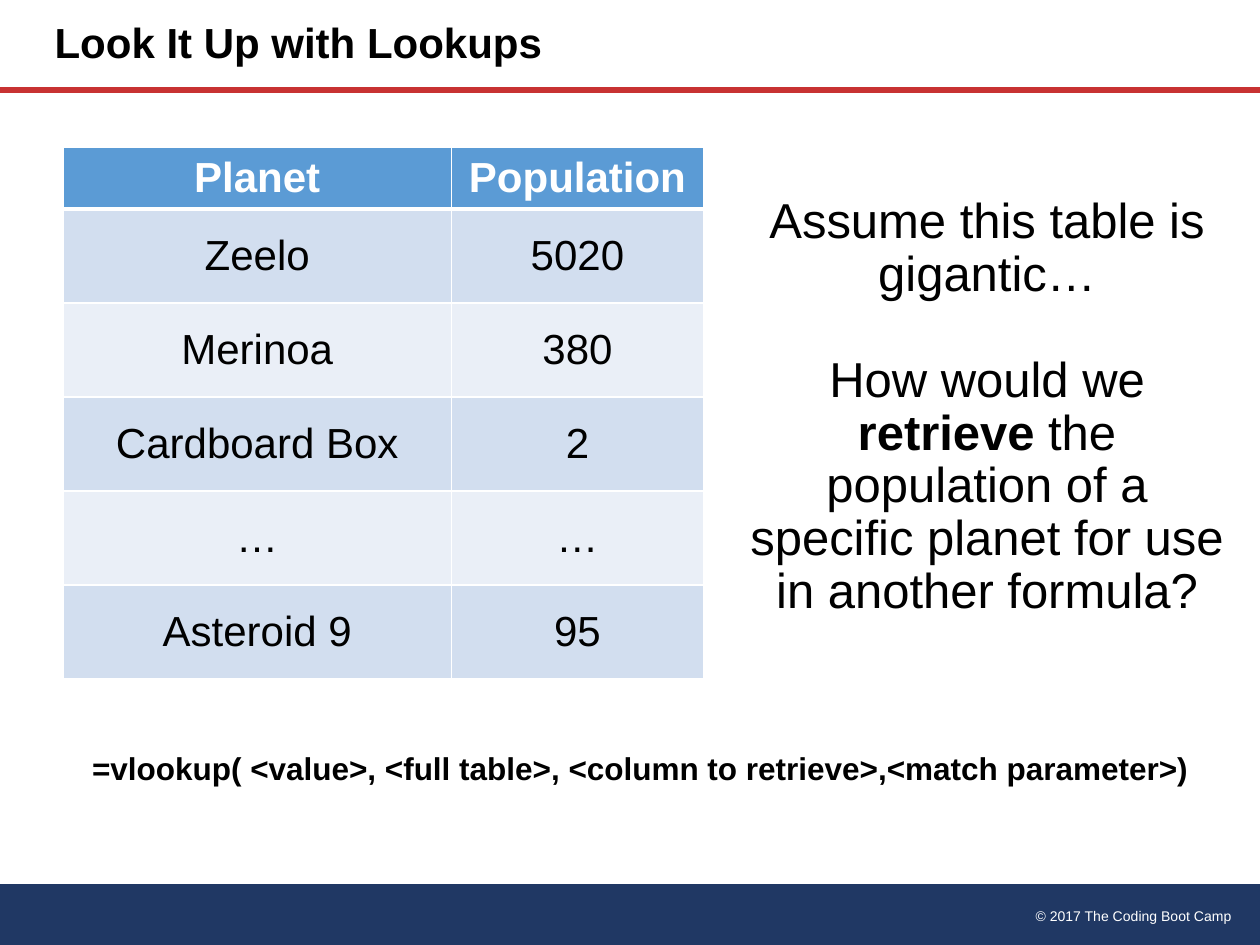
from lxml import etree
from pptx import Presentation
from pptx.dml.color import RGBColor
from pptx.enum.shapes import MSO_CONNECTOR as Connector, MSO_SHAPE as Shape
from pptx.enum.text import MSO_ANCHOR as Anchor, MSO_AUTO_SIZE as AutoSize, PP_ALIGN as Align
from pptx.oxml.ns import qn
from pptx.util import Inches, Pt

COLUMN = Inches(10) / 120
ROW = Inches(7.5) / 90
COLORS = {
    "black": "000000", "white": "FFFFFF", "navy": "203864", "red": "C83232",
    "header": "5B9BD5", "odd": "D2DEEF", "even": "EAEFF7",
}
PLANETS = [
    ("Planet", "Population"), ("Zeelo", "5020"), ("Merinoa", "380"),
    ("Cardboard Box", "2"), ("…", "…"), ("Asteroid 9", "95"),
]
QUESTION = [
    [("Assume this table is gigantic…", False)],
    [("How would we ", False), ("retrieve", True),
     (" the population of a specific planet for use in another formula?", False)],
]
FORMULA = "=vlookup( <value>, <full table>, <column to retrieve>,<match parameter>)"


def color(name):
    return RGBColor.from_string(COLORS[name])


def place(box):
    left, top, width, height = box
    return [round(left * COLUMN), round(top * ROW), round(width * COLUMN), round(height * ROW)]


def apply(target, formats):
    for name, value in formats.items():
        setattr(target, name, value)


def write(frame, paragraphs, size, ink="black", align=Align.CENTER, spacing=0.9, gap=0):
    apply(frame, {"word_wrap": True, "auto_size": AutoSize.NONE, "vertical_anchor": Anchor.MIDDLE})
    for index, runs in enumerate(paragraphs):
        paragraph = frame.add_paragraph() if index else frame.paragraphs[0]
        apply(paragraph, {"alignment": align, "line_spacing": spacing,
                          "space_before": Pt(gap if index else 0)})
        for text, bold in runs:
            run = paragraph.add_run()
            run.text = text
            apply(run.font, {"name": "Arial", "size": Pt(size), "bold": bold})
            run.font.color.rgb = color(ink)


def add_text(slide, box, paragraphs, size, **formats):
    write(slide.shapes.add_textbox(*place(box)).text_frame, paragraphs, size, **formats)


def add_header(slide, box):
    left, top, width, height = box
    title = slide.shapes.title
    apply(title, dict(zip(("left", "top", "width", "height"),
                          place((left + 4, top, width * 0.6, height)))))
    write(title.text_frame, [[("Look It Up with Lookups", True)]], 24, align=Align.LEFT)
    x, y, length, drop = place(box)
    rule = slide.shapes.add_connector(Connector.STRAIGHT, x, y + drop, x + length, y + drop)
    rule.line.color.rgb = color("red")
    rule.line.width = Pt(3.25)
    etree.SubElement(rule._element.spPr, qn("a:effectLst"))


def add_footer(slide, box):
    left, top, width, height = box
    bar = slide.shapes.add_shape(Shape.FLOWCHART_PROCESS, *place(box))
    bar.shadow.inherit = False
    bar.fill.solid()
    bar.fill.fore_color.rgb = color("navy")
    bar.line.fill.background()
    add_text(slide, (left + 82, top + 1.6, width - 83.5, height / 2),
             [[("© 2017 The Coding Boot Camp", False)]], 8,
             ink="white", align=Align.RIGHT, spacing=1)


def set_borders(cell, widths):
    properties = cell._tc.get_or_add_tcPr()
    for index, (side, width) in enumerate(widths.items()):
        line = etree.Element(qn(f"a:ln{side}"), w=str(Pt(width)))
        fill = etree.SubElement(line, qn("a:solidFill"))
        etree.SubElement(fill, qn("a:srgbClr"), val=COLORS["white"])
        properties.insert(index, line)


def add_planet_table(slide, box):
    left, top, width, height = box
    header_height = 5.9
    body_height = (height - header_height) / (len(PLANETS) - 1)
    table = slide.shapes.add_table(len(PLANETS), len(PLANETS[0]), *place(box)).table
    for column, span in zip(table.columns, (37, width - 37)):
        column.width = round(span * COLUMN)
    for index, values in enumerate(PLANETS):
        is_header = index == 0
        table.rows[index].height = round((header_height if is_header else body_height) * ROW)
        fill = "header" if is_header else "odd" if index % 2 else "even"
        for position, text in enumerate(values):
            cell = table.cell(index, position)
            cell.fill.solid()
            cell.fill.fore_color.rgb = color(fill)
            cell.vertical_anchor = Anchor.MIDDLE
            set_borders(cell, {"L": 1, "R": 1, "T": 3 if index == 1 else 1,
                               "B": 3 if is_header else 1})
            paragraph = cell.text_frame.paragraphs[0]
            paragraph.alignment = Align.CENTER
            run = paragraph.add_run()
            run.text = text
            apply(run.font, {"name": "Arial", "size": Pt(24), "bold": is_header})
            run.font.color.rgb = color("white" if is_header else "black")


def main():
    presentation = Presentation()
    apply(presentation, {"slide_width": round(120 * COLUMN), "slide_height": round(90 * ROW)})
    slide = presentation.slides.add_slide(presentation.slide_layouts[5])
    add_footer(slide, (0, 84.2, 120, 5.8))
    add_header(slide, (0, 0, 120, 8.6))
    add_planet_table(slide, (6, 14, 61, 50.7))
    add_text(slide, (4, 69, 114, 8.7), [[(FORMULA, True)]], 18)
    add_text(slide, (70, 17, 48, 43.7), QUESTION, 28, gap=30)
    presentation.save("out.pptx")


if __name__ == "__main__":
    main()
